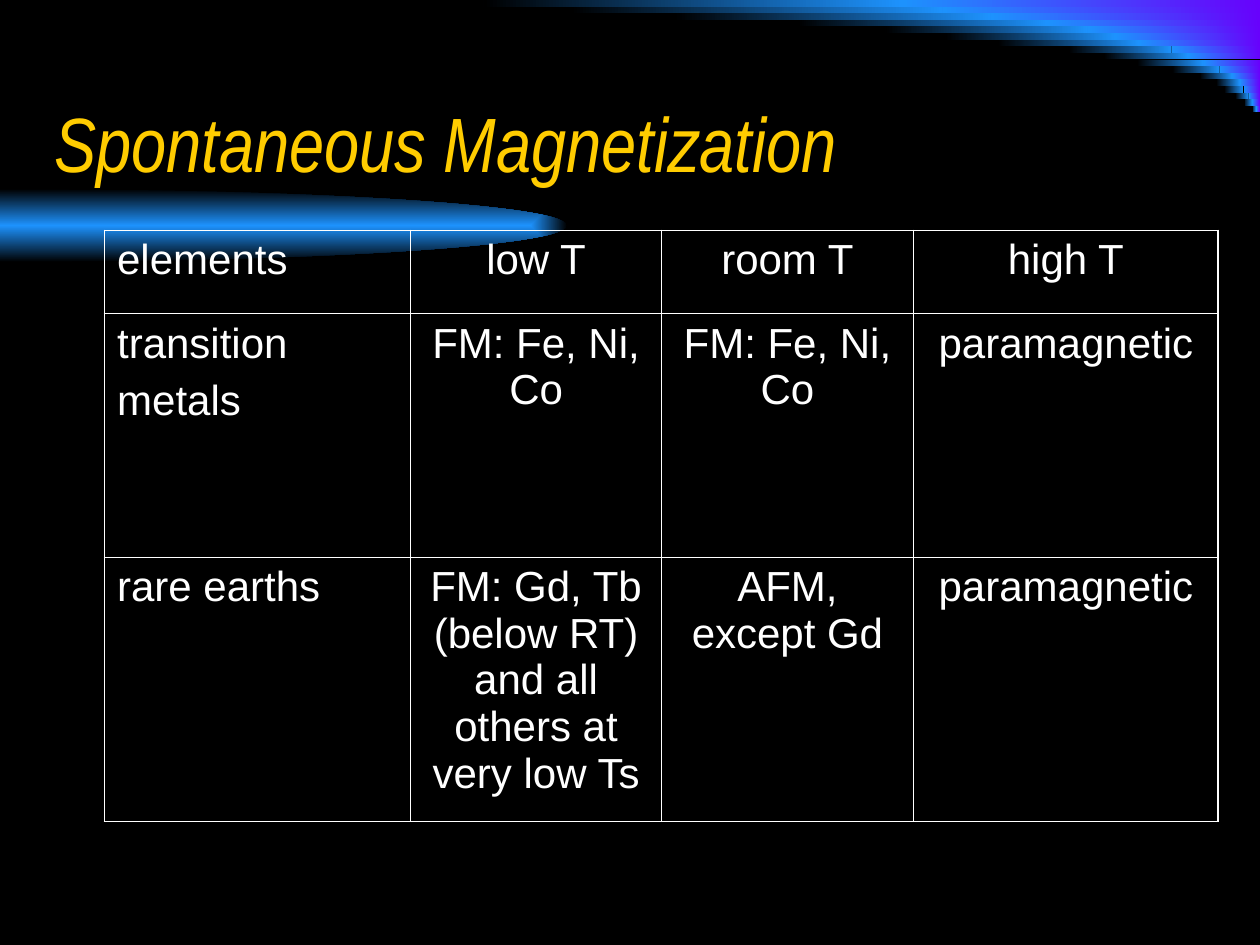
"""Build the Spontaneous Magnetization slide."""
from typing import NamedTuple

from lxml.etree import SubElement
from pptx import Presentation
from pptx.dml.color import RGBColor
from pptx.enum.shapes import MSO_SHAPE
from pptx.enum.text import MSO_ANCHOR, MSO_AUTO_SIZE, PP_ALIGN
from pptx.oxml.ns import qn
from pptx.util import Inches, Pt

BLACK = RGBColor(0x00, 0x00, 0x00)
WHITE = RGBColor(0xFF, 0xFF, 0xFF)
GOLD = RGBColor(0xFF, 0xCC, 0x00)
BLUE = RGBColor(0x1D, 0x92, 0xFD)
VIOLET = RGBColor(0x67, 0x02, 0xFC)

WIDE = 10
PITCH = 0.0525
RATIO = 1.17
THIN, THICK = Pt(0.45), Pt(1.08)
SWEEP = [2.84, 2.52, 2.14, 1.69, 1.37, 1.15, 0.96, 0.7, 0.57,
         0.45, 0.32, 0.22, 0.16, 0.13, 0.09, 0.06, 0.03]
COLS = [2.43, 1.99, 2, 2.42]
ROWS = [0.66, 1.93, 2.1]
CELLS = [
    ["elements", "low T", "room T", "high T"],
    ["transition\nmetals", "FM: Fe, Ni, Co", "FM: Fe, Ni, Co", "paramagnetic"],
    ["rare earths", "FM: Gd, Tb (below RT) and all others at very low Ts",
     "AFM, except Gd", "paramagnetic"],
]


class Blend(NamedTuple):
    """A shape filled with two colours, with lengths in inches."""
    kind: MSO_SHAPE
    left: float
    top: float
    width: float
    height: float
    start: RGBColor
    end: RGBColor


def draw_blend(shapes, blend: Blend):
    """Draw a borderless shape that blends from right to left."""
    box = [Inches(n) for n in blend[1:5]]
    shape = shapes.add_shape(blend.kind, *box)
    shape.shadow.inherit = False
    shape.line.fill.background()
    shape.fill.gradient()
    shape.fill.gradient_angle = 180
    for stop, tint in zip(shape.fill.gradient_stops, (blend.start, blend.end)):
        stop.color.rgb = tint
    return shape


def draw_sweep(slide) -> None:
    """Draw the stepped sweep in the top right corner."""
    group = slide.shapes.add_group_shape()
    for row, width in enumerate(SWEEP):
        top, left, tail = row * PITCH, WIDE - width, width * RATIO
        for blend in (
            Blend(MSO_SHAPE.RECTANGLE, left, top, width, PITCH, VIOLET, BLUE),
            Blend(MSO_SHAPE.RECTANGLE, left - tail, top, tail, PITCH, BLUE, BLACK),
        ):
            draw_blend(group.shapes, blend)


def draw_glow(slide) -> None:
    """Draw the oval glow that enters from the left edge."""
    glow = draw_blend(slide.shapes, Blend(
        MSO_SHAPE.OVAL, -4.5, 1.5, 9, 0.58, BLUE, BLACK))
    grad = glow._element.spPr.find(qn("a:gradFill"))
    grad.remove(grad.find(qn("a:lin")))
    path = SubElement(grad, qn("a:path"), {"path": "rect"})
    SubElement(path, qn("a:fillToRect"), dict.fromkeys("ltrb", "50000"))


def set_title(slide) -> None:
    """Place and format the title in front of the backdrop."""
    title = slide.shapes.title
    title.left, title.top = Inches(0.33), Inches(0.5)
    title.width, title.height = Inches(8.5), Inches(1.25)
    frame = title.text_frame
    frame.text = "Spontaneous Magnetization"
    frame.auto_size = MSO_AUTO_SIZE.NONE
    frame.vertical_anchor = MSO_ANCHOR.MIDDLE
    line = frame.paragraphs[0]
    line.alignment = PP_ALIGN.LEFT
    font = line.runs[0].font
    font.name, font.size, font.italic = "Arial Narrow", Pt(44), True
    font.color.rgb = GOLD
    slide.shapes._spTree.append(title._element)


def set_edges(cell, row: int, col: int) -> None:
    """Give a cell white edges, thick along the table's outside."""
    outer = {"L": col == 0, "R": col == len(COLS) - 1,
             "T": row == 0, "B": row == len(ROWS) - 1}
    props = cell._tc.get_or_add_tcPr()
    for spot, (side, thick) in enumerate(outer.items()):
        edge = SubElement(props, qn(f"a:ln{side}"), w=str(THICK if thick else THIN))
        fill = SubElement(edge, qn("a:solidFill"))
        SubElement(fill, qn("a:srgbClr"), val=str(WHITE))
        props.insert(spot, edge)


def set_cell(cell, text: str, row: int, col: int) -> None:
    """Fill in and format one table cell."""
    cell.fill.background()
    set_edges(cell, row, col)
    cell.text_frame.text = text
    for spot, line in enumerate(cell.text_frame.paragraphs):
        line.alignment = PP_ALIGN.CENTER if col else PP_ALIGN.LEFT
        if spot:
            line.space_before = Pt(6)
        font = line.runs[0].font
        font.name, font.size, font.bold = "Arial", Pt(24), False
        font.color.rgb = WHITE


def draw_table(slide) -> None:
    """Draw the table of magnetic phases."""
    table = slide.shapes.add_table(
        len(ROWS), len(COLS), Inches(0.83), Inches(1.83),
        Inches(sum(COLS)), Inches(sum(ROWS))).table
    table.first_row = table.horz_banding = False
    for col, width in zip(table.columns, COLS):
        col.width = Inches(width)
    for row, height in zip(table.rows, ROWS):
        row.height = Inches(height)
    for row, texts in enumerate(CELLS):
        for col, text in enumerate(texts):
            set_cell(table.cell(row, col), text, row, col)


def main() -> None:
    """Build and save the deck."""
    deck = Presentation()
    deck.slide_width, deck.slide_height = Inches(WIDE), Inches(7.5)
    slide = deck.slides.add_slide(deck.slide_layouts[5])
    slide.background.fill.solid()
    slide.background.fill.fore_color.rgb = BLACK
    draw_sweep(slide)
    draw_glow(slide)
    set_title(slide)
    draw_table(slide)
    deck.save("out.pptx")


if __name__ == "__main__":
    main()
